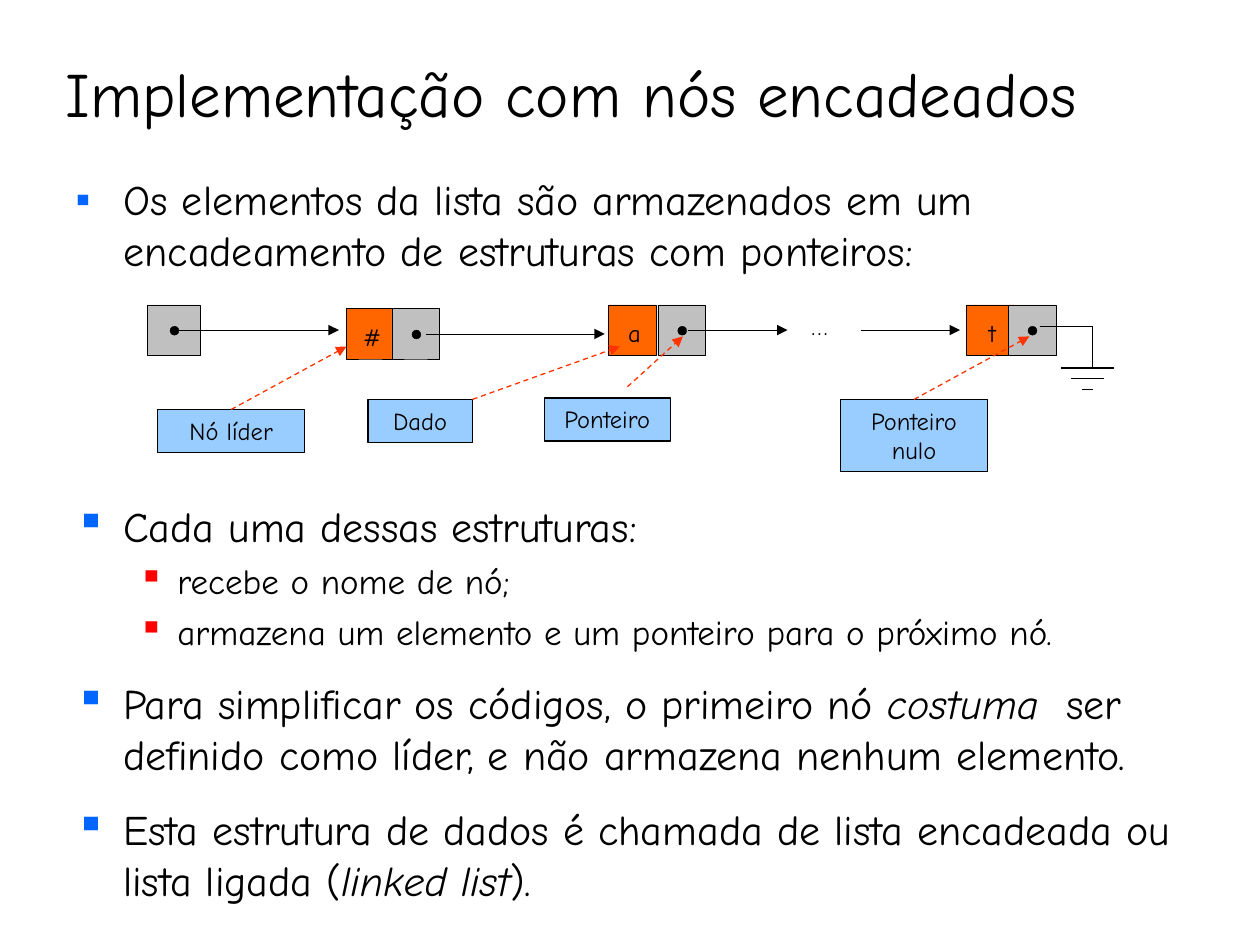
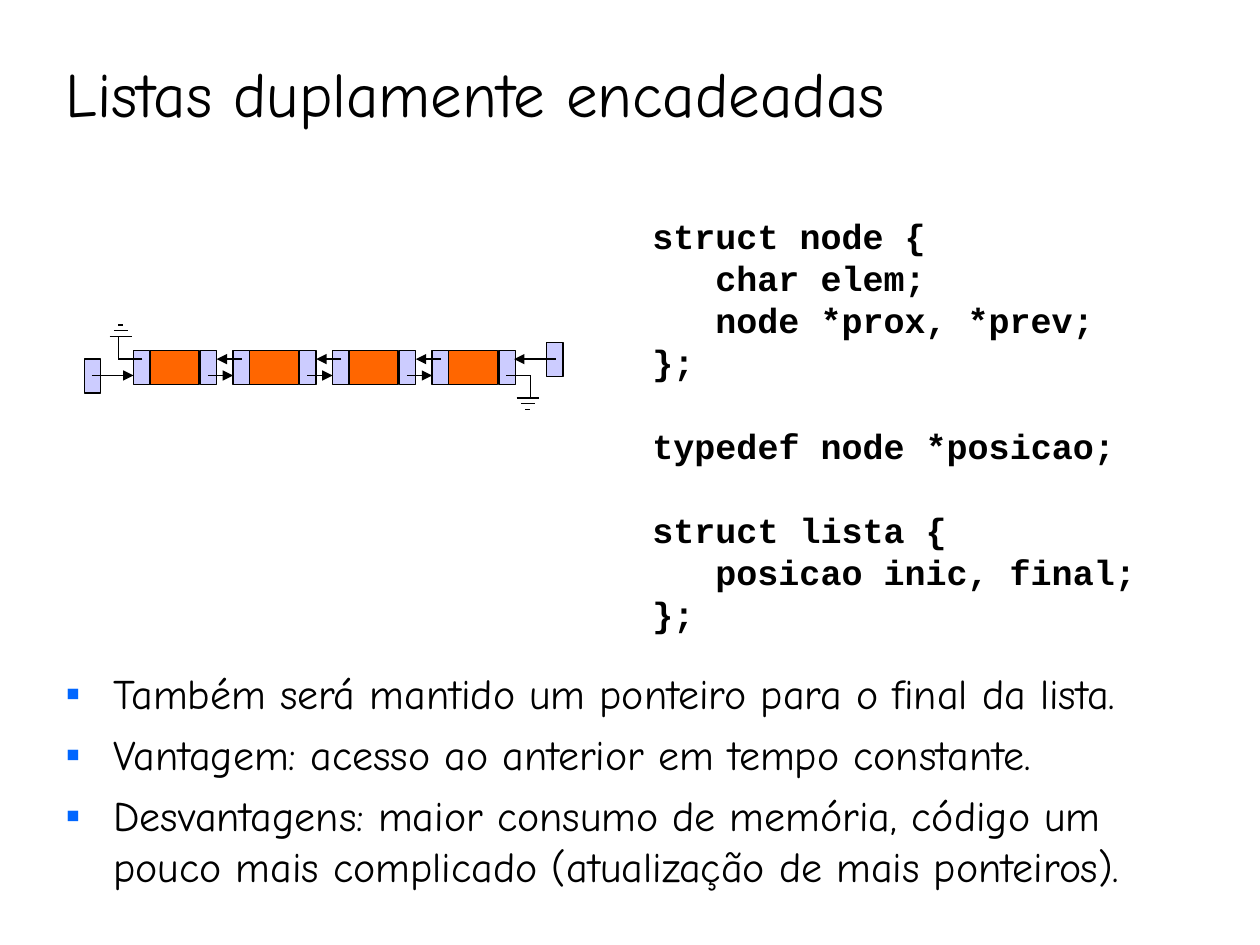
import pptx
import pptx.dml.color
import pptx.enum.dml
import pptx.enum.shapes
import pptx.enum.text
import pptx.oxml
import pptx.oxml.ns
import pptx.util
from dataclasses import dataclass
from lxml import etree

Inches = pptx.util.Inches
Pt = pptx.util.Pt
SHAPE = pptx.enum.shapes.MSO_SHAPE
ANCHOR = pptx.enum.text.MSO_ANCHOR
ALIGN = pptx.enum.text.PP_ALIGN
AUTO = pptx.enum.text.MSO_AUTO_SIZE


@dataclass(frozen=True)
class Theme:
    font: str = "Comic Neue"
    code_font: str = "Courier New"
    ink: str = "000000"
    data: str = "FF6600"
    pointer: str = "C0C0C0"
    link: str = "CCCCFF"
    label: str = "99CCFF"
    callout: str = "FF3300"
    bullets: tuple = ("0066FF", "FF0000")
    title_size: int = 36
    list_sizes: tuple = (24, 20)
    list_gaps: tuple = (6, 5)
    list_indents: tuple = ((0.38, 0.38), (0.81, 0.31))
    code_size: int = 20
    code_pitch: int = 24
    label_size: int = 14
    hairline: float = 0.25
    line: float = 0.75


T = Theme()


def rgb(color):
    return pptx.dml.color.RGBColor.from_string(color)


def sub(parent, tag, **attrs):
    return etree.SubElement(parent, pptx.oxml.ns.qn(tag), attrs)


# Text helpers
def add_run(p, text, size, font=T.font, bold=False, italic=False):
    r = p.add_run()
    r.text = text
    r.font.size, r.font.name = Pt(size), font
    r.font.bold, r.font.italic = bold, italic
    r.font.color.rgb = rgb(T.ink)


def paragraphs(tf, items):
    """Yield a paragraph of the frame for each item."""
    for i, item in enumerate(items):
        yield i, (tf.add_paragraph() if i else tf.paragraphs[0]), item


def fill_list(tf, items):
    """Each item is (level, text, text, ...); every second text is italic."""
    tf.word_wrap, tf.auto_size = True, AUTO.NONE
    tf.vertical_anchor = ANCHOR.TOP
    for i, p, (level, *texts) in paragraphs(tf, items):
        p.level = level
        p.space_before = Pt(T.list_gaps[level] if i else 0)
        left, hang = T.list_indents[level]
        pPr = p._p.get_or_add_pPr()
        pPr.set("marL", str(Inches(left)))
        pPr.set("indent", str(-Inches(hang)))
        sub(sub(pPr, "a:buClr"), "a:srgbClr", val=T.bullets[level])
        sub(pPr, "a:buChar", char="▪")
        for k, text in enumerate(texts):
            add_run(p, text, T.list_sizes[level], italic=k % 2 == 1)


def place(shape, box):
    shape.left, shape.top, shape.width, shape.height = map(Inches, box)


def add_textbox(s, box):
    return s.shapes.add_textbox(*map(Inches, box)).text_frame


# Drawing helpers
def add_box(s, box, fill, weight=T.line, kind=SHAPE.RECTANGLE):
    sp = s.shapes.add_shape(kind, *map(Inches, box))
    sp.shadow.inherit = False
    sp.fill.solid()
    sp.fill.fore_color.rgb = rgb(fill)
    sp.line.color.rgb = rgb(T.ink)
    sp.line.width = Pt(weight)
    return sp


def add_line(s, x1, y1, x2, y2, arrow=False, color=T.ink, weight=T.line, dashed=False):
    c = s.shapes.add_connector(pptx.enum.shapes.MSO_CONNECTOR.STRAIGHT,
                               *map(Inches, (x1, y1, x2, y2)))
    c.line.color.rgb = rgb(color)
    c.line.width = Pt(weight)
    if dashed:
        c.line.dash_style = pptx.enum.dml.MSO_LINE.DASH
    if arrow:
        sub(c.line._get_or_add_ln(), "a:tailEnd", type="triangle")
    sub(c._element.spPr, "a:effectLst")
    return c


def add_ground(s, start, corner, center, half, step):
    """Null pointer: a bent lead ending in three shrinking bars."""
    (x, y), (cx, end) = start, corner
    add_line(s, x, y, cx, y)
    add_line(s, cx, y, cx, end)
    for i, share in enumerate((1, 0.62, 0.22)):
        bar_y = end + i * step
        add_line(s, center - half * share, bar_y, center + half * share, bar_y)


# Parts of the singly linked list
def add_pointer_cell(s, left, top, width=0.38):
    add_box(s, (left, top, width, 0.4), T.pointer, T.hairline)
    add_box(s, (left + width / 2 - 0.03, top + 0.17, 0.07, 0.07),
            T.ink, T.hairline, SHAPE.OVAL)


def add_node(s, left, top, text, split):
    sp = add_box(s, (left, top, 0.38, 0.4), T.data, T.hairline)
    tf = sp.text_frame
    tf.margin_left, tf.margin_top = Inches(0.03), Inches(0.05)
    tf.margin_right = tf.margin_bottom = 0
    tf.vertical_anchor = ANCHOR.MIDDLE
    tf.paragraphs[0].alignment = ALIGN.CENTER
    add_run(tf.paragraphs[0], text, T.label_size)
    add_pointer_cell(s, left + split, top)


def add_label(s, box, text):
    sp = add_box(s, box, T.label)
    tf = sp.text_frame
    tf.word_wrap, tf.vertical_anchor = True, ANCHOR.TOP
    tf.paragraphs[0].alignment = ALIGN.CENTER
    add_run(tf.paragraphs[0], text, T.label_size)
    return sp


def draw_singly_linked(s, left, top):
    # Head pointer and nodes
    add_pointer_cell(s, left, top, 0.42)
    for x, y, text, split in ((1.58, 0.03, "#", 0.36), (3.66, 0, "a", 0.39),
                              (6.5, 0, "t", 0.33)):
        add_node(s, left + x, top + y, text, split)
    # Links, with the skipped nodes between
    for x1, x2, y in ((0.2, 1.52, 0.2), (2.21, 3.63, 0.23),
                      (4.29, 5.08, 0.2), (5.66, 6.45, 0.2)):
        add_line(s, left + x1, top + y, left + x2, top + y, True, weight=T.hairline)
    tf = add_textbox(s, (left + 5.17, top + 0.06, 0.33, 0.27))
    tf.word_wrap = False
    p = tf.paragraphs[0]
    p.alignment, p.line_spacing = ALIGN.CENTER, 0.72
    add_run(p, "…", T.label_size)
    add_ground(s, (left + 7.08, top + 0.17), (left + 7.5, top + 0.5),
               left + 7.46, 0.21, 0.085)
    # Labels: box, arrow start, arrow end; no start means the top of the label
    labels = (
        ("Nó líder", (0.08, 0.83, 1.17, 0.34), None, (1.58, 0.33)),
        ("Dado", (1.75, 0.75, 0.83, 0.34), (2.58, 0.75), (3.75, 0.33)),
        ("Ponteiro", (3.15, 0.74, 1, 0.34), (3.81, 0.65), (4.25, 0.25)),
        ("Ponteiro nulo", (5.5, 0.75, 1.17, 0.57), None, (7, 0.25)),
    )
    for text, (x, y, w, h), start, end in labels:
        sp = add_label(s, (left + x, top + y, w, h), text)
        x1, y1 = start or (x + w / 2, y)
        c = add_line(s, left + x1, top + y1, left + end[0], top + end[1],
                     True, T.callout, dashed=True)
        if not start:
            c.begin_connect(sp, 0)


# Doubly linked list
def draw_doubly_linked(s, left, top, count=4):
    cell, data, height, pitch = 0.13, 0.39, 0.27, 0.79
    prev_y, next_y = top + 0.27, top + 0.4
    first = left + 0.39
    end = first + (count - 1) * pitch
    # Start and end pointers
    for x, y in ((left, top + 0.27), (end + 0.91, top + 0.14)):
        add_box(s, (x, y, cell, height), T.link)
    # Nodes
    nodes = [first + i * pitch for i in range(count)]
    for x in nodes:
        add_box(s, (x + cell, top + 0.2, data, height), T.data)
        for side in (x, x + cell + data + 0.01):
            add_box(s, (side, top + 0.2, cell, height), T.link)
    # Links to the next and to the previous node
    add_line(s, left + 0.06, next_y, first, next_y, True)
    add_line(s, end + 0.98, prev_y, end + 0.65, prev_y, True)
    for x in nodes[:-1]:
        add_line(s, x + 0.59, next_y, x + pitch, next_y, True)
        add_line(s, x + pitch + 0.07, prev_y, x + 0.66, prev_y, True)
    # Null pointers at both ends
    add_ground(s, (first + 0.07, prev_y), (first - 0.12, top + 0.09),
               first - 0.1, 0.09, -0.045)
    add_ground(s, (end + 0.59, next_y), (end + 0.78, top + 0.58),
               end + 0.76, 0.09, 0.045)


def add_code(s, box, blocks):
    """Blocks of lines; one line's height parts the blocks."""
    tf = add_textbox(s, box)
    tf.word_wrap = True
    lines = [(b > 0 and i == 0, line)
             for b, block in enumerate(blocks) for i, line in enumerate(block)]
    for _, p, (parted, line) in paragraphs(tf, lines):
        p.line_spacing = Pt(T.code_pitch)
        p.space_before = Pt(T.code_pitch if parted else 0)
        add_run(p, line, T.code_size, T.code_font, bold=True)


# Slides
def new_slide(prs, title, body_box, items):
    s = prs.slides.add_slide(prs.slide_layouts[1])
    place(s.shapes.title, (0.42, 0.25, 9.08, 0.83))
    tf = s.shapes.title.text_frame
    tf.word_wrap, tf.auto_size = True, AUTO.NONE
    tf.vertical_anchor = ANCHOR.BOTTOM
    tf.paragraphs[0].alignment = ALIGN.LEFT
    add_run(tf.paragraphs[0], title, T.title_size)
    body = s.placeholders[1]
    place(body, body_box)
    fill_list(body.text_frame, items)
    return s


def linked_nodes_slide(prs):
    s = new_slide(prs, "Implementação com nós encadeados", (0.5, 1.33, 9.17, 1), [
        (0, "Os elementos da lista são armazenados em um encadeamento "
            "de estruturas com ponteiros:")])
    draw_singly_linked(s, 1.17, 2.42)
    notes = (
        (3.92, 1.42, [
            (0, "Cada uma dessas estruturas:"),
            (1, "recebe o nome de nó;"),
            (1, "armazena um elemento e um ponteiro para o próximo nó.")]),
        (5.33, 0.92, [
            (0, "Para simplificar os códigos, o primeiro nó ", "costuma",
             "  ser definido como líder, e não armazena nenhum elemento.")]),
        (6.33, 1, [
            (0, "Esta estrutura de dados é chamada de lista encadeada ou "
                "lista ligada (", "linked list", ").")]),
    )
    for top, height, items in notes:
        fill_list(add_textbox(s, (0.5, top, 9.17, height)), items)


def doubly_linked_slide(prs):
    s = new_slide(prs, "Listas duplamente encadeadas", (0.42, 5.25, 9.17, 2.05), [
        (0, "Também será mantido um ponteiro para o final da lista."),
        (0, "Vantagem: acesso ao anterior em tempo constante."),
        (0, "Desvantagens: maior consumo de memória, código um pouco mais "
            "complicado (atualização de mais ponteiros).")])
    draw_doubly_linked(s, 0.67, 2.58)
    add_code(s, (5.08, 1.65, 4.56, 3.44), (
        ("struct node {", "\tchar elem;", "\tnode *prox, *prev;", "};"),
        ("typedef node *posicao;",),
        ("struct lista {", "\tposicao inic, final;", "};")))


def main():
    prs = pptx.Presentation()
    prs.slide_width, prs.slide_height = Inches(10), Inches(7.5)
    linked_nodes_slide(prs)
    doubly_linked_slide(prs)
    prs.save("out.pptx")


if __name__ == "__main__":
    main()
